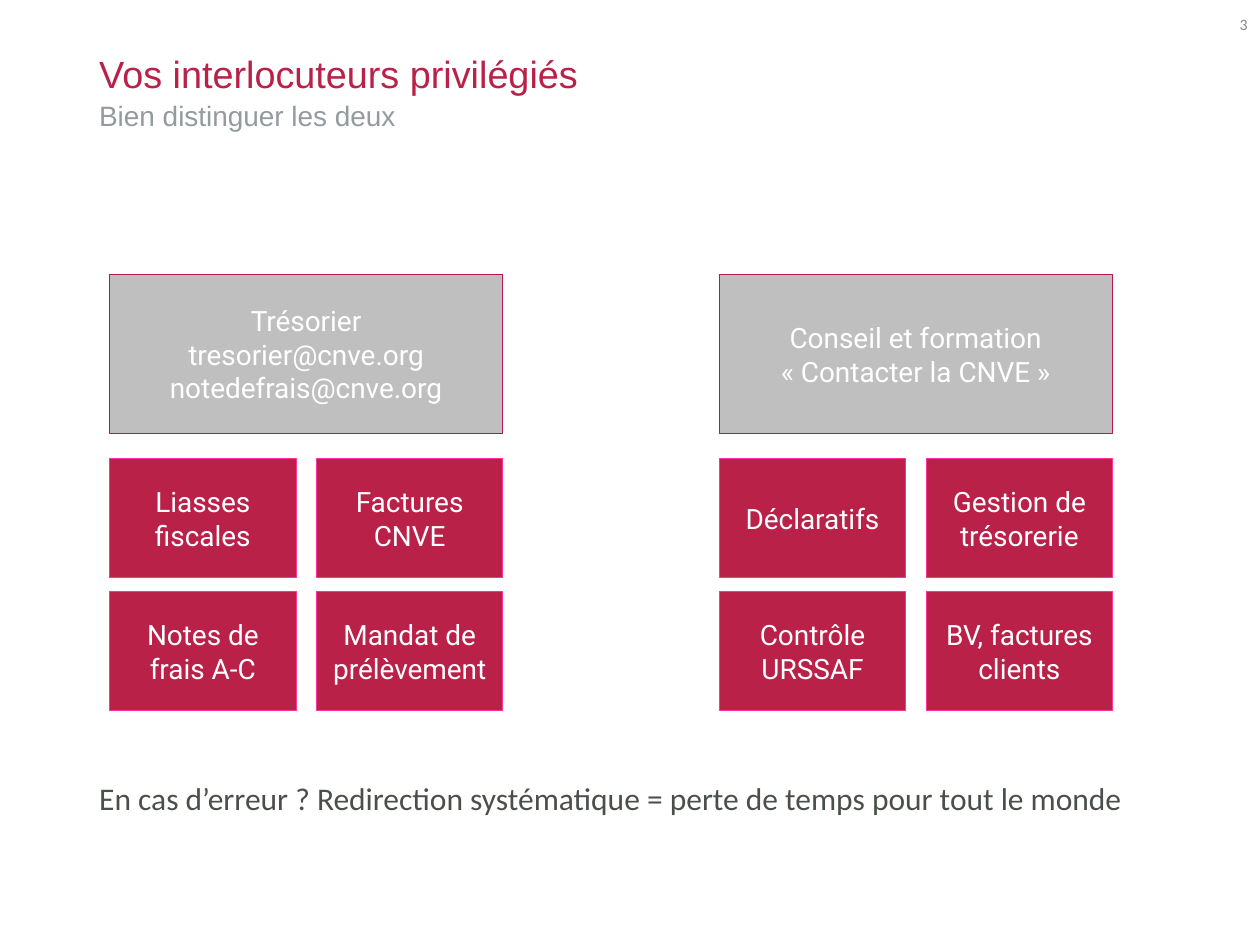
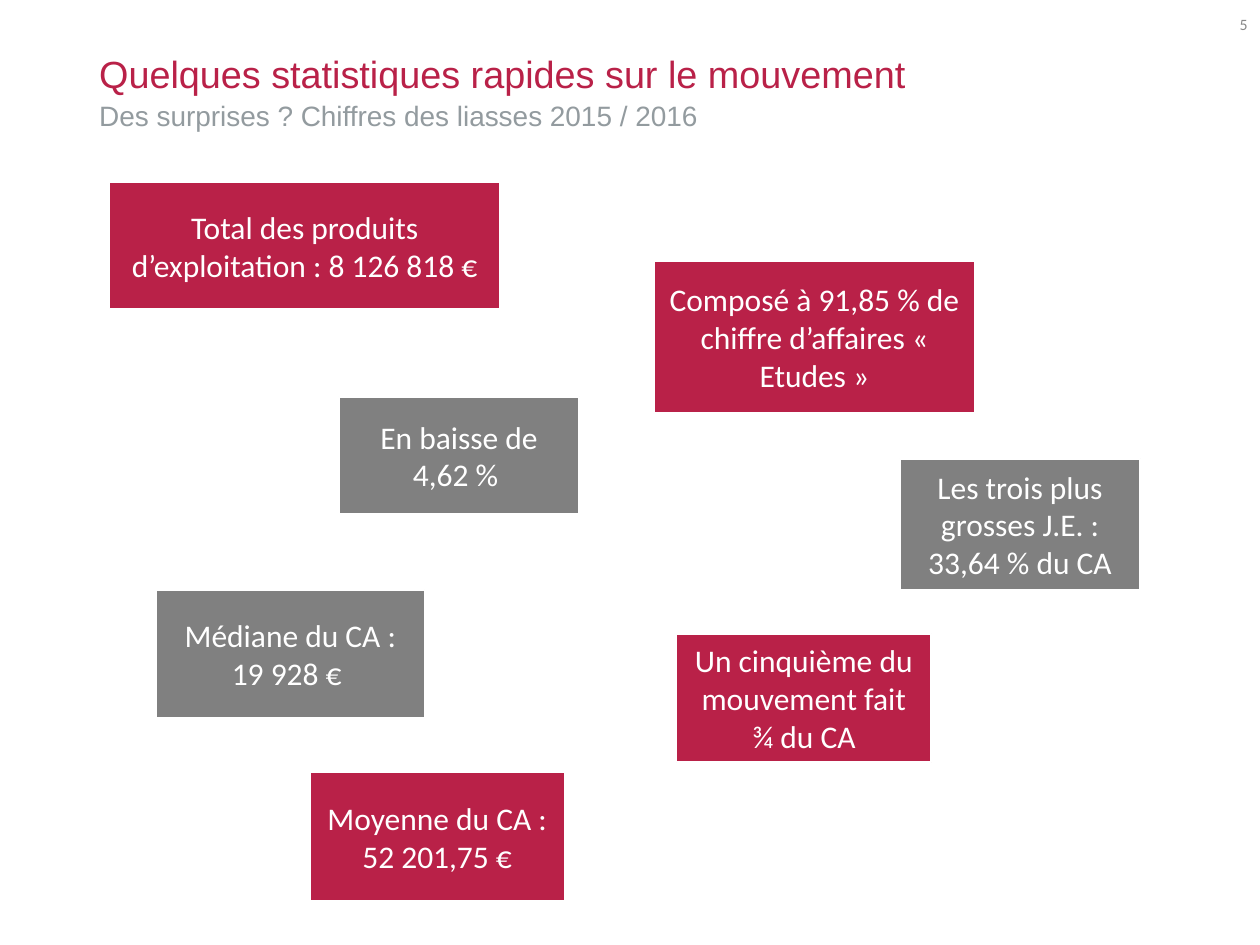
from pptx import Presentation
from pptx.dml.color import RGBColor
from pptx.enum import shapes, text
from pptx.util import Cm, Pt

CRIMSON = RGBColor(0xB9, 0x21, 0x48)
ROSE = RGBColor(0xBA, 0x14, 0x49)
PINK = RGBColor(0xFF, 0x33, 0x99)
SILVER = RGBColor(0xBF, 0xBF, 0xBF)
GREY = RGBColor(0x80, 0x80, 0x80)
SUBTITLE_GREY = RGBColor(0x93, 0x9B, 0x9F)
NUMBER_GREY = RGBColor(0x88, 0x88, 0x88)
DARK = RGBColor(0x49, 0x50, 0x49)
WHITE = RGBColor(0xFF, 0xFF, 0xFF)

MIDDLE = text.MSO_ANCHOR.MIDDLE
LEFT, CENTER, RIGHT = text.PP_ALIGN.LEFT, text.PP_ALIGN.CENTER, text.PP_ALIGN.RIGHT


def write(tf, content, font="Calibri", size=18, color=WHITE, align=LEFT,
          anchor=MIDDLE, spacing=1.0):
    """Fill a text frame, one paragraph per line of content."""
    tf.word_wrap = True
    tf.vertical_anchor = anchor
    for i, line in enumerate(content.split("\n")):
        p = tf.add_paragraph() if i else tf.paragraphs[0]
        p.alignment = align
        p.line_spacing = spacing
        r = p.add_run()
        r.text = line
        r.font.name = font
        r.font.size = Pt(size)
        r.font.color.rgb = color


class Deck:
    """Presentation style together with the slide being built."""

    def __init__(self):
        self.prs = Presentation()
        self.prs.slide_width, self.prs.slide_height = Cm(25.4), Cm(19.05)
        self.s = None

    def slide(self, title, subtitle, number):
        self.s = self.prs.slides.add_slide(self.prs.slide_layouts[6])
        self.label(title, 1.75, 1.02, 21.9, 1.04, font="Arial", size=21.6,
                   color=CRIMSON, spacing=0.9)
        self.label(number, 23.27, -0.02, 2.13, 1.02, size=9,
                   color=NUMBER_GREY, align=RIGHT)
        self.label(subtitle, 1.75, 2.06, 21.9, 0.61, font="Arial", size=16,
                   color=SUBTITLE_GREY, spacing=0.9)

    def label(self, content, x, y, w, h, **fmt):
        sp = self.s.shapes.add_textbox(Cm(x), Cm(y), Cm(w), Cm(h))
        write(sp.text_frame, content, **fmt)

    def box(self, content, x, y, w, h, fill, line=WHITE, line_width=1, **fmt):
        sp = self.s.shapes.add_shape(shapes.MSO_SHAPE.RECTANGLE,
                                     Cm(x), Cm(y), Cm(w), Cm(h))
        sp.shadow.inherit = False
        sp.fill.solid()
        sp.fill.fore_color.rgb = fill
        sp.line.color.rgb = line
        sp.line.width = Pt(line_width)
        write(sp.text_frame, content, align=CENTER, **fmt)

    def contact(self, x, header, topics):
        style = dict(line_width=0.5, font="Roboto", size=16)
        self.box(header, x, 5.54, 7.92, 3.2, SILVER, ROSE, **style)
        for i, topic in enumerate(topics):
            row, col = divmod(i, 2)
            self.box(topic, x + 4.17 * col, 9.25 + 2.68 * row, 3.76, 2.39,
                     CRIMSON, PINK, **style)


def main():
    deck = Deck()

    deck.slide("Vos interlocuteurs privilégiés", "Bien distinguer les deux", "3")
    deck.contact(2.21, "Trésorier\ntresorier@cnve.org\nnotedefrais@cnve.org",
                 ["Liasses fiscales", "Factures CNVE",
                  "Notes de frais A-C", "Mandat de prélèvement"])
    deck.contact(14.5, "Conseil et formation\n« Contacter la CNVE »",
                 ["Déclaratifs", "Gestion de trésorerie",
                  "Contrôle URSSAF", "BV, factures clients"])
    deck.label("En cas d’erreur ? Redirection systématique = perte de temps "
               "pour tout le monde", 1.75, 15.67, 21.46, 0.94, color=DARK,
               anchor=text.MSO_ANCHOR.TOP, spacing=0.9)

    deck.slide("Quelques statistiques rapides sur le mouvement",
               "Des surprises ? Chiffres des liasses 2015 / 2016", "5")
    facts = [
        ("Total des produits d’exploitation : 8 126 818 €", 2.21, 3.68, 7.87, 2.54, CRIMSON),
        ("En baisse de 4,62 % ", 6.83, 8, 4.85, 2.36, GREY),
        ("Composé à 91,85 % de chiffre d’affaires « Etudes »", 13.18, 5.26, 6.48, 3.07, CRIMSON),
        ("Médiane du CA : 19 928 € ", 3.15, 11.89, 5.41, 2.59, GREY),
        ("Moyenne du CA : 52 201,75 €", 6.25, 15.57, 5.13, 2.59, CRIMSON),
        ("Un cinquième du mouvement fait ¾ du CA", 13.64, 12.78, 5.13, 2.59, CRIMSON),
        ("Les trois plus grosses J.E. : 33,64 % du CA", 18.14, 9.25, 4.85, 2.64, GREY),
    ]
    for fact in facts:
        deck.box(*fact)

    deck.prs.save("out.pptx")


if __name__ == "__main__":
    main()
